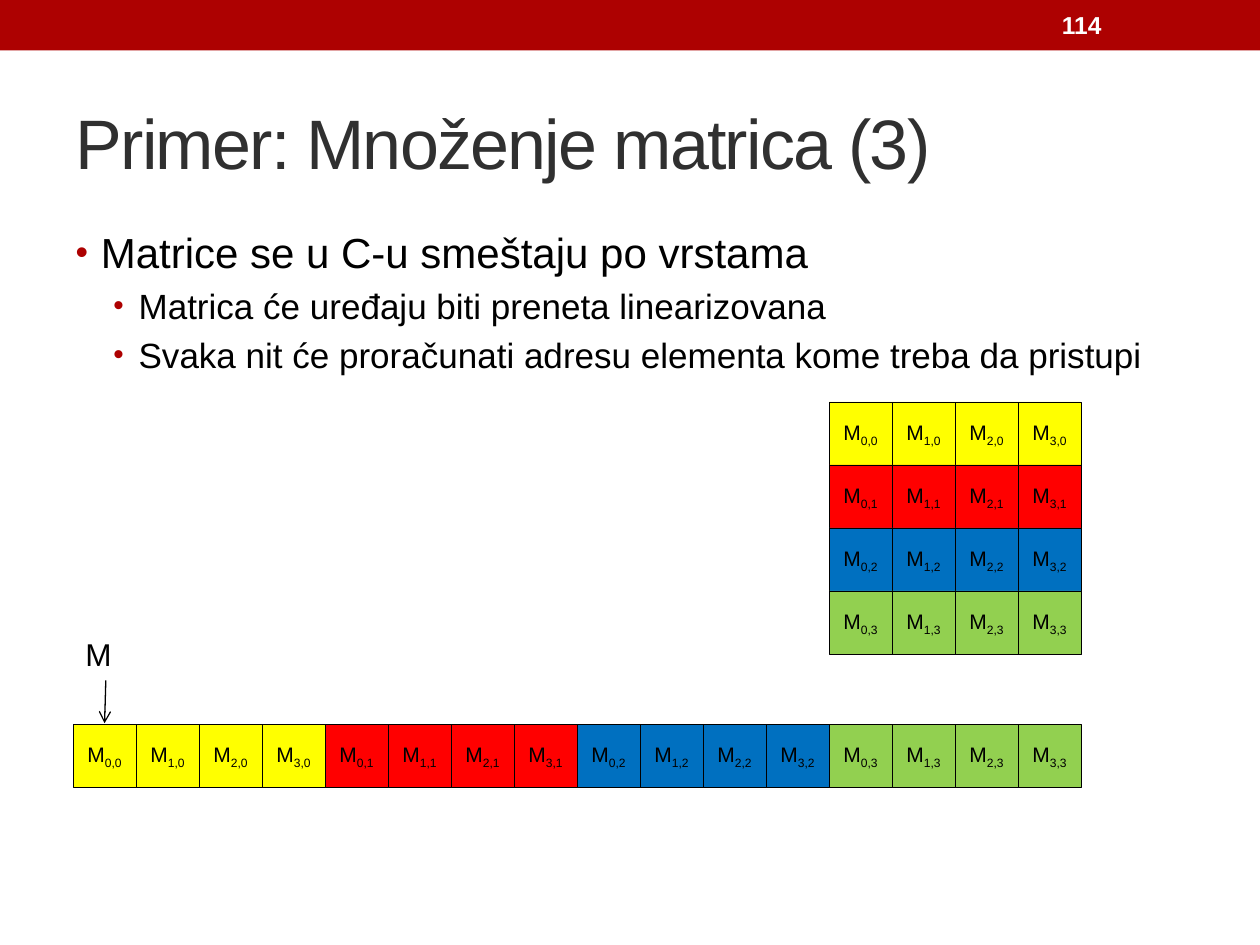
from lxml import etree
from pptx import Presentation
from pptx import util as u
from pptx.dml import color as c
from pptx.enum import shapes, text
from pptx.oxml import ns


def rgb(value):
    return c.RGBColor.from_string(value)


def write(paragraph, content, size, color="000000", bold=False):
    run = paragraph.add_run()
    run.text = content
    run.font.color.rgb = rgb(color)
    for name, value in {"name": "Arial", "size": u.Pt(size), "bold": bold}.items():
        setattr(run.font, name, value)
    return run


presentation = Presentation()
presentation.slide_width, presentation.slide_height = u.Pt(720), u.Pt(540)
slide = presentation.slides.add_slide(presentation.slide_layouts[1])
title, body = slide.placeholders

header = slide.shapes.add_shape(shapes.MSO_SHAPE.RECTANGLE, 0, 0, u.Pt(720), u.Pt(28.8))
header.shadow.inherit = False
header.fill.solid()
header.fill.fore_color.rgb = rgb("AD0101")
header.line.fill.background()

title_box = {"left": 36, "top": 41.76, "width": 648, "height": 77.76}
body_box = {"left": 36, "top": 126, "width": 648, "height": 383.76}
for placeholder, box in ((title, title_box), (body, body_box)):
    for name, value in box.items():
        setattr(placeholder, name, u.Pt(value))
    placeholder.text_frame.auto_size = text.MSO_AUTO_SIZE.NONE

title.text_frame.vertical_anchor = text.MSO_ANCHOR.MIDDLE
paragraph = title.text_frame.paragraphs[0]
paragraph.alignment = text.PP_ALIGN.LEFT
run = write(paragraph, "Primer: Množenje matrica (3)", 40, "303030")
run.font._element.set("spc", "-100")

items = [
    (0, 24, 14.4, "Matrice se u C-u smeštaju po vrstama"),
    (1, 20, 36, "Matrica će uređaju biti preneta linearizovana"),
    (1, 20, 36, "Svaka nit će proračunati adresu elementa kome treba da pristupi"),
]
for index, (level, size, margin, content) in enumerate(items):
    frame = body.text_frame
    paragraph = frame.add_paragraph() if index else frame.paragraphs[0]
    paragraph.level = level
    write(paragraph, content, size)
    properties = paragraph._p.get_or_add_pPr()
    properties.set("marL", str(u.Pt(margin)))
    properties.set("indent", str(u.Pt(-14.4)))
    bullet_color = etree.SubElement(properties, ns.qn("a:buClr"))
    etree.SubElement(bullet_color, ns.qn("a:srgbClr"), val="AD0101")
    etree.SubElement(properties, ns.qn("a:buSzPct"), val="85000")
    etree.SubElement(properties, ns.qn("a:buFont"), typeface="Arial")
    etree.SubElement(properties, ns.qn("a:buChar"), char="•")

cell_size = 36
row_colors = ["FFFF00", "FF0000", "0070C0", "92D050"]
layouts = [
    (41.76, 414, 4 * cell_size, 0),
    (473.76, 229.68, 0, cell_size),
]
for left, top, row_step_x, row_step_y in layouts:
    group = slide.shapes.add_group_shape()
    for row, row_color in enumerate(row_colors):
        for column in range(4):
            cell = group.shapes.add_shape(
                shapes.MSO_SHAPE.RECTANGLE,
                u.Pt(left + row * row_step_x + column * cell_size),
                u.Pt(top + row * row_step_y),
                u.Pt(cell_size), u.Pt(cell_size))
            cell.shadow.inherit = False
            cell.fill.solid()
            cell.fill.fore_color.rgb = rgb(row_color)
            cell.line.color.rgb = rgb("000000")
            cell.line.width = u.Pt(0.25)
            frame = cell.text_frame
            margins = dict.fromkeys(("margin_left", "margin_right"), 0)
            for name, value in {**margins, "vertical_anchor": text.MSO_ANCHOR.MIDDLE}.items():
                setattr(frame, name, value)
            paragraph = frame.paragraphs[0]
            paragraph.alignment = text.PP_ALIGN.CENTER
            write(paragraph, "M", 12)
            subscript = write(paragraph, f"{column},{row}", 12)
            subscript.font._element.set("baseline", "-25000")

labels = [
    ("M", 41.76, 359.28, 36, 30.24, 18, "000000", False, text.MSO_ANCHOR.TOP),
    ("114", 599.76, 1.44, 84.24, 25.92, 14, "FFFFFF", True, text.MSO_ANCHOR.MIDDLE),
]
for content, left, top, width, height, size, color, bold, anchor in labels:
    label = slide.shapes.add_textbox(u.Pt(left), u.Pt(top), u.Pt(width), u.Pt(height))
    label.text_frame.word_wrap = True
    label.text_frame.vertical_anchor = anchor
    write(label.text_frame.paragraphs[0], content, size, color, bold)

pointer = slide.shapes.add_connector(
    shapes.MSO_CONNECTOR.STRAIGHT, u.Pt(60.48), u.Pt(388.8), u.Pt(59.76), u.Pt(413.28))
pointer.line.color.rgb = rgb("000000")
pointer.line.width = u.Pt(0.75)
etree.SubElement(pointer.line._get_or_add_ln(), ns.qn("a:tailEnd"), type="arrow")
etree.SubElement(pointer._element.spPr, ns.qn("a:effectLst"))

presentation.save("out.pptx")
